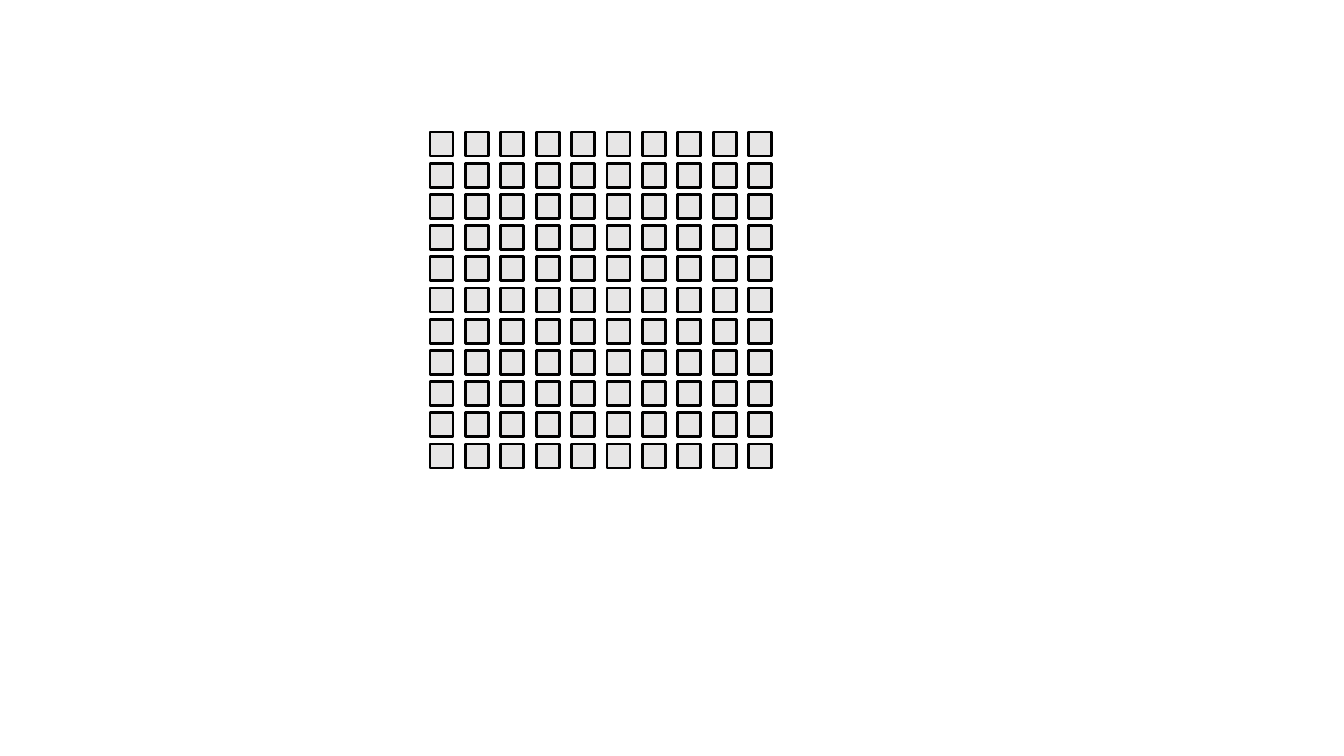
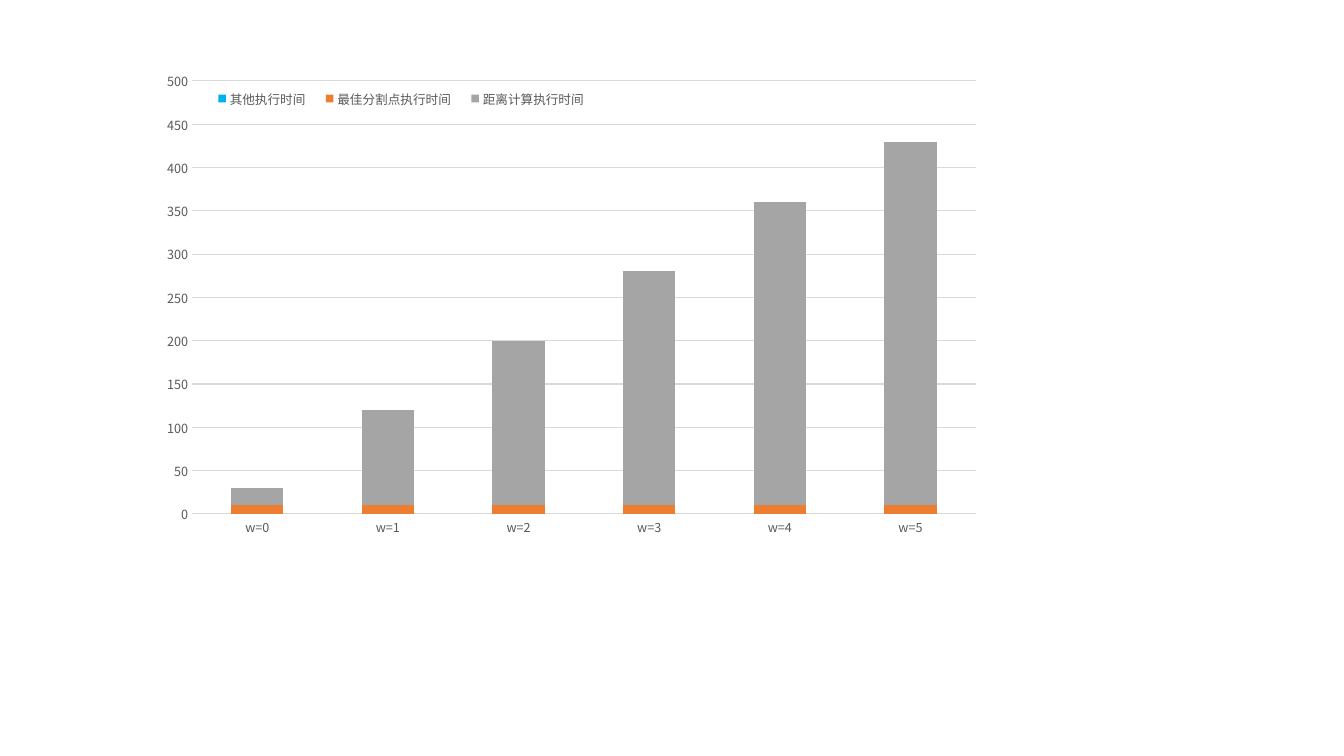
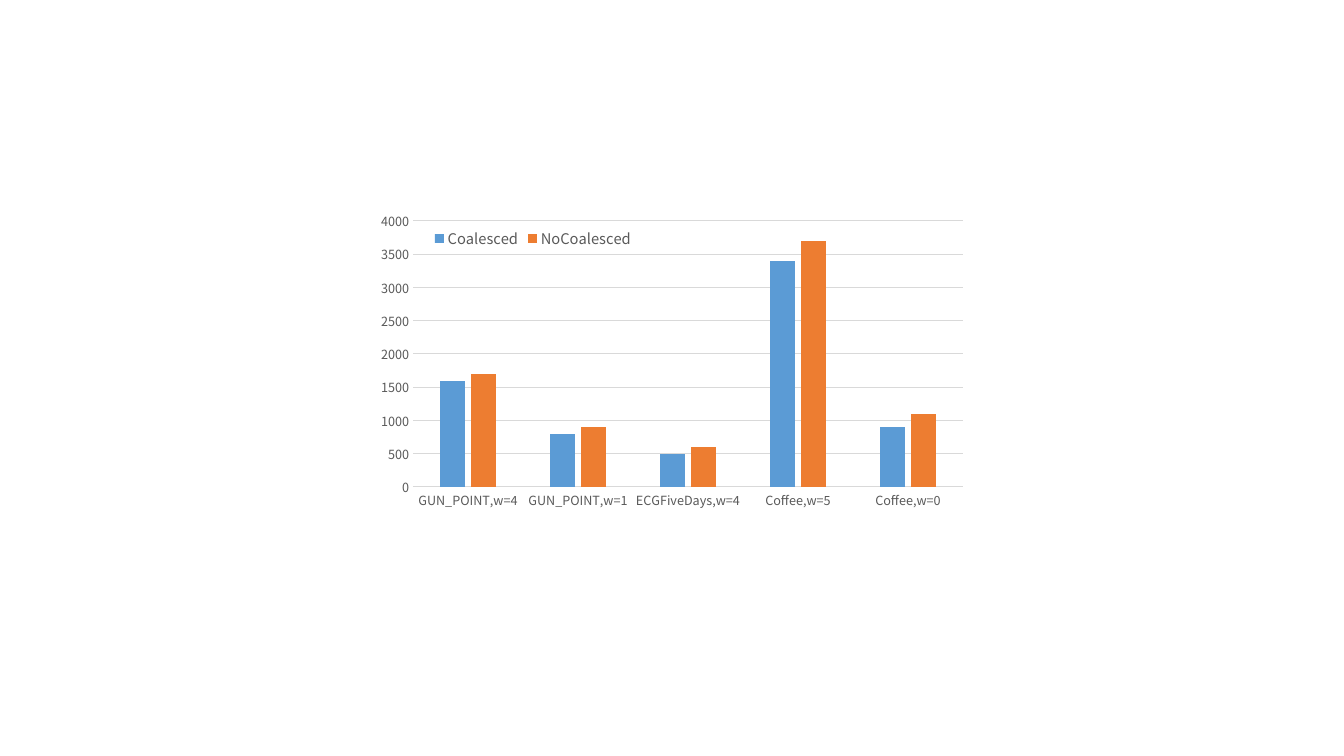
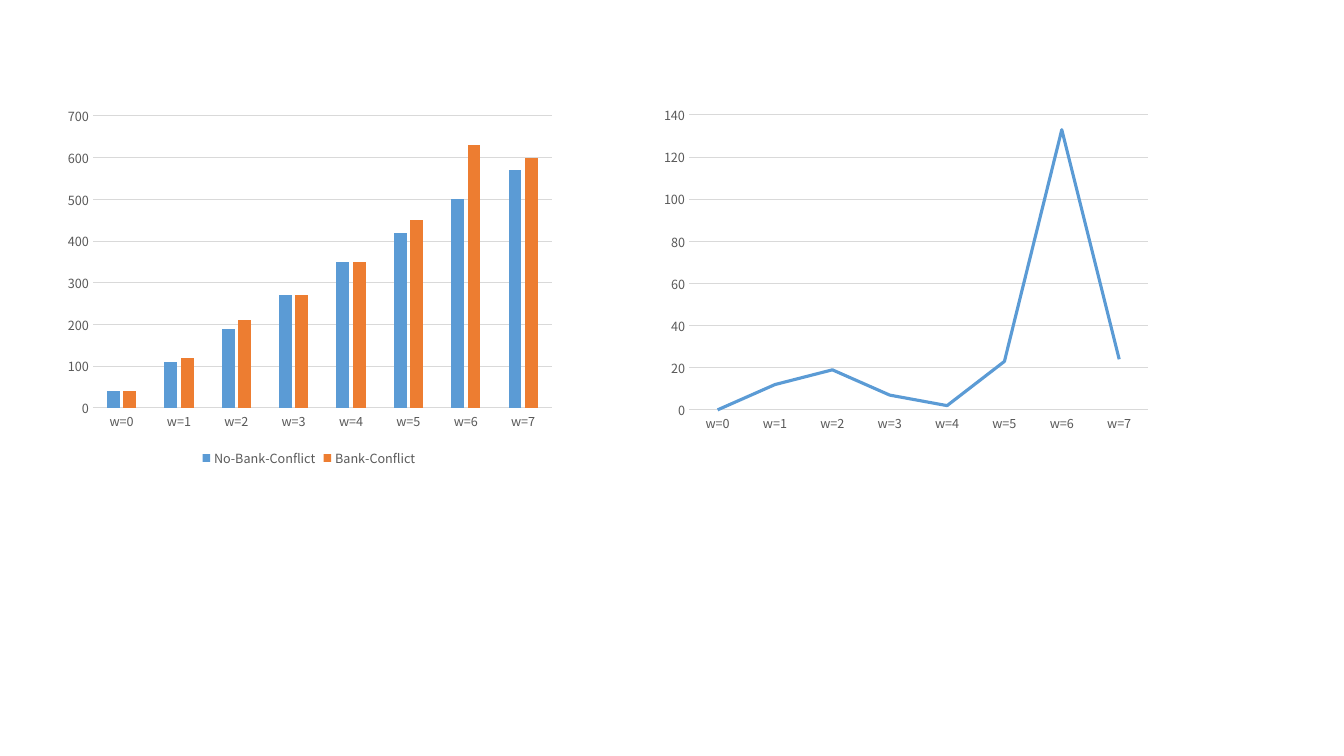
from itertools import product

from pptx import Presentation
from pptx.chart.data import CategoryChartData
from pptx.dml.color import RGBColor
from pptx.enum.chart import XL_CHART_TYPE as ChartType
from pptx.enum.chart import XL_LEGEND_POSITION as LegendPosition
from pptx.enum.chart import XL_TICK_MARK as TickMark
from pptx.enum.shapes import MSO_SHAPE as Preset
from pptx.oxml import parse_xml
from pptx.oxml.ns import nsdecls, qn
from pptx.util import Emu, Pt

# Shared look
PIXEL = 914400 / 100.8
FONT = "Noto Sans CJK SC"
COLORS = {
    "black": "000000",
    "cell": "E7E6E6",
    "text": "595959",
    "grid": "D9D9D9",
    "cyan": "00B0F0",
    "blue": "5B9BD5",
    "orange": "ED7D31",
    "gray": "A5A5A5",
}


def px(pixels):
    return Emu(round(pixels * PIXEL))


def color(name):
    return RGBColor.from_string(COLORS[name])


def add_page(deck):
    return deck.slides.add_slide(deck.slide_layouts[6])


def style_font(font, size=9, fill="text"):
    font.name = FONT
    font.size = Pt(size)
    font.color.rgb = color(fill)


def style_line(line, name, width=0.75):
    line.color.rgb = color(name)
    line.width = Pt(width)


# Grid of squares
def add_cell(page, left, top, width, height):
    cell = page.shapes.add_shape(
        Preset.RECTANGLE, px(left), px(top), px(width), px(height))
    cell.shadow.inherit = False
    cell.fill.solid()
    cell.fill.fore_color.rgb = color("cell")
    style_line(cell.line, "black", 2)


def add_cell_grid(page, left, top, columns, rows, step_x, step_y):
    for row, column in product(range(rows), range(columns)):
        add_cell(page, left + column * step_x, top + row * step_y, 23, 24)


# Charts
def place_part(part, index, frame, area, inner=False):
    """Pin a chart part to an area given in slide pixels."""
    for layout in part.findall(qn("c:layout")):
        part.remove(layout)
    left, top, width, height = frame
    x, y, w, h = area
    shares = {"x": (x - left) / width, "y": (y - top) / height,
              "w": w / width, "h": h / height}
    target = '<c:layoutTarget val="inner"/>' if inner else ""
    modes = '<c:xMode val="edge"/><c:yMode val="edge"/>'
    values = "".join(f'<c:{key} val="{share:.4f}"/>'
                     for key, share in shares.items())
    part.insert(index, parse_xml(
        f'<c:layout {nsdecls("c")}><c:manualLayout>{target}{modes}{values}'
        '</c:manualLayout></c:layout>'))


def style_axes(chart, maximum, unit):
    for axis in (chart.category_axis, chart.value_axis):
        axis.major_tick_mark = axis.minor_tick_mark = TickMark.NONE
        style_font(axis.tick_labels.font)
    style_line(chart.category_axis.format.line, "grid")
    values = chart.value_axis
    values.minimum_scale, values.maximum_scale = 0, maximum
    values.major_unit = unit
    values.format.line.fill.background()
    style_line(values.major_gridlines.format.line, "grid")


def add_legend(chart, frame, area, size):
    chart.has_legend = True
    legend = chart.legend
    legend.position = LegendPosition.BOTTOM
    legend.include_in_layout = False
    style_font(legend.font, size)
    if area:
        place_part(legend._element, 1, frame, area)


def add_chart(page, kind, frame, plot_area, categories, series, maximum, unit):
    """Series rows hold a name, a colour name and the values."""
    data = CategoryChartData()
    data.categories = categories
    for name, _, values in series:
        data.add_series(name, values)
    chart = page.shapes.add_chart(kind, *map(px, frame), data).chart
    chart.has_title = chart.has_legend = False
    style_font(chart.font, 10, "black")
    style_axes(chart, maximum, unit)
    place_part(chart._chartSpace.chart.plotArea, 0, frame, plot_area, inner=True)
    return chart


def add_column_chart(page, kind, *content, gap, overlap,
                     legend_area=None, legend_size=9):
    chart = add_chart(page, kind, *content)
    frame, series = content[0], content[3]
    plot = chart.plots[0]
    plot.vary_by_categories = False
    plot.gap_width, plot.overlap = gap, overlap
    for columns, (_, fill, _) in zip(plot.series, series):
        columns.format.fill.solid()
        columns.format.fill.fore_color.rgb = color(fill)
    add_legend(chart, frame, legend_area, legend_size)


def add_line_chart(page, *content):
    chart = add_chart(page, ChartType.LINE_STACKED, *content)
    plot = chart.plots[0]
    plot.vary_by_categories = False
    for curve, (_, stroke, _) in zip(plot.series, content[3]):
        curve.smooth = False
        style_line(curve.format.line, stroke, 2.25)


def windows(count):
    return [f"w={size}" for size in range(count)]


# Slides
def build_execution_time(page):
    add_column_chart(
        page, ChartType.COLUMN_STACKED,
        (150, 61, 843, 517), (192, 81, 784, 433), windows(6),
        [("其他执行时间", "cyan", [0] * 6),
         ("最佳分割点执行时间", "orange", [10] * 6),
         ("距离计算执行时间", "gray", [20, 110, 190, 270, 350, 420])],
        500, 50, gap=150, overlap=100, legend_area=(202, 86, 398, 25))


def build_coalescing(page):
    add_column_chart(
        page, ChartType.COLUMN_CLUSTERED,
        (369, 205, 606, 347), (413, 221, 550, 266),
        ["GUN_POINT,w=4", "GUN_POINT,w=1", "ECGFiveDays,w=4",
         "Coffee,w=5", "Coffee,w=0"],
        [("Coalesced", "blue", [1600, 800, 500, 3400, 900]),
         ("NoCoalesced", "orange", [1700, 900, 600, 3700, 1100])],
        4000, 500, gap=219, overlap=-27,
        legend_area=(430, 225, 206, 27), legend_size=10.5)


def build_bank_conflict(page):
    add_line_chart(
        page, (654, 100, 504, 339), (689, 115, 459, 295), windows(8),
        [("Series 1", "blue", [0, 12, 19, 7, 2, 23, 133, 24])], 140, 20)
    add_column_chart(
        page, ChartType.COLUMN_CLUSTERED,
        (57, 100, 504, 371), (93, 116, 459, 292), windows(8),
        [("No-Bank-Conflict", "blue",
          [40, 110, 190, 270, 350, 420, 500, 570]),
         ("Bank-Conflict", "orange",
          [40, 120, 210, 270, 350, 450, 630, 600])],
        700, 100, gap=219, overlap=-27)


def main():
    deck = Presentation()
    deck.slide_width, deck.slide_height = px(1344), px(756)
    add_cell_grid(add_page(deck), 430, 132, columns=10, rows=11,
                  step_x=35.4, step_y=31.2)
    build_execution_time(add_page(deck))
    build_coalescing(add_page(deck))
    build_bank_conflict(add_page(deck))
    deck.save("out.pptx")


main()
